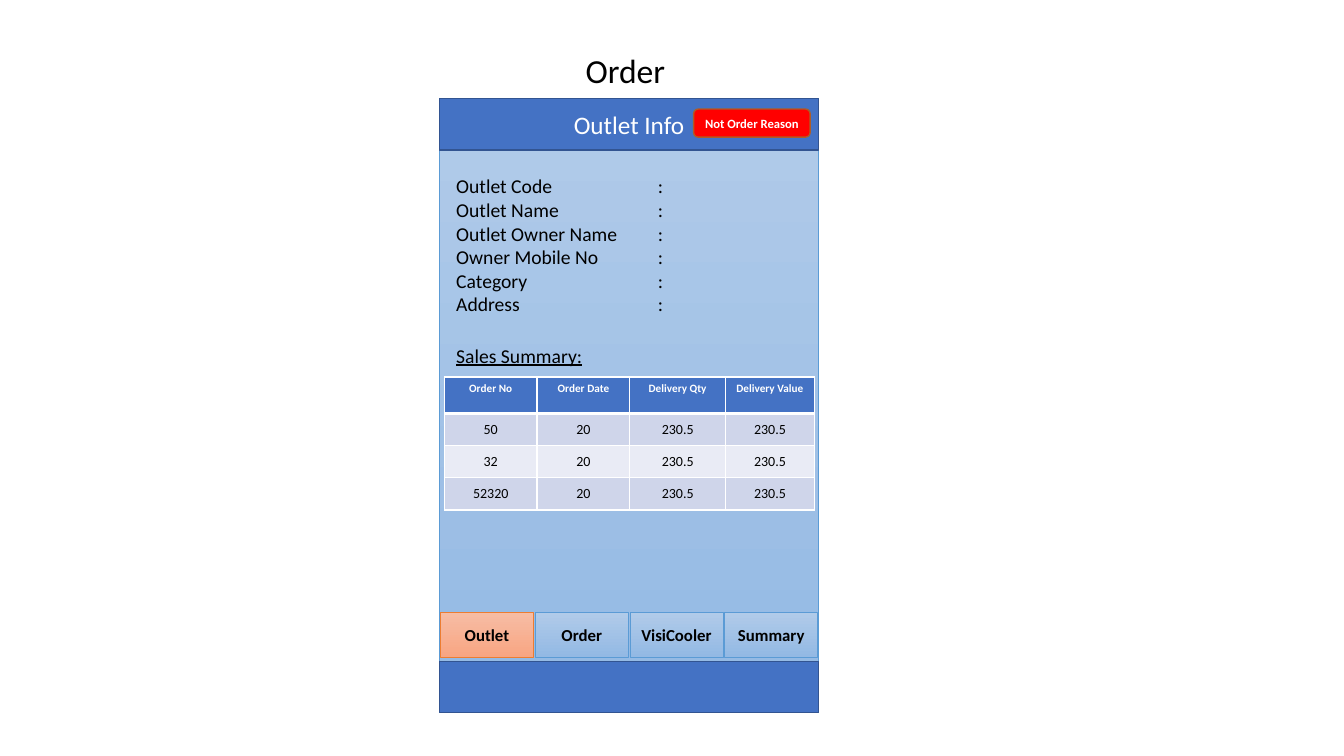
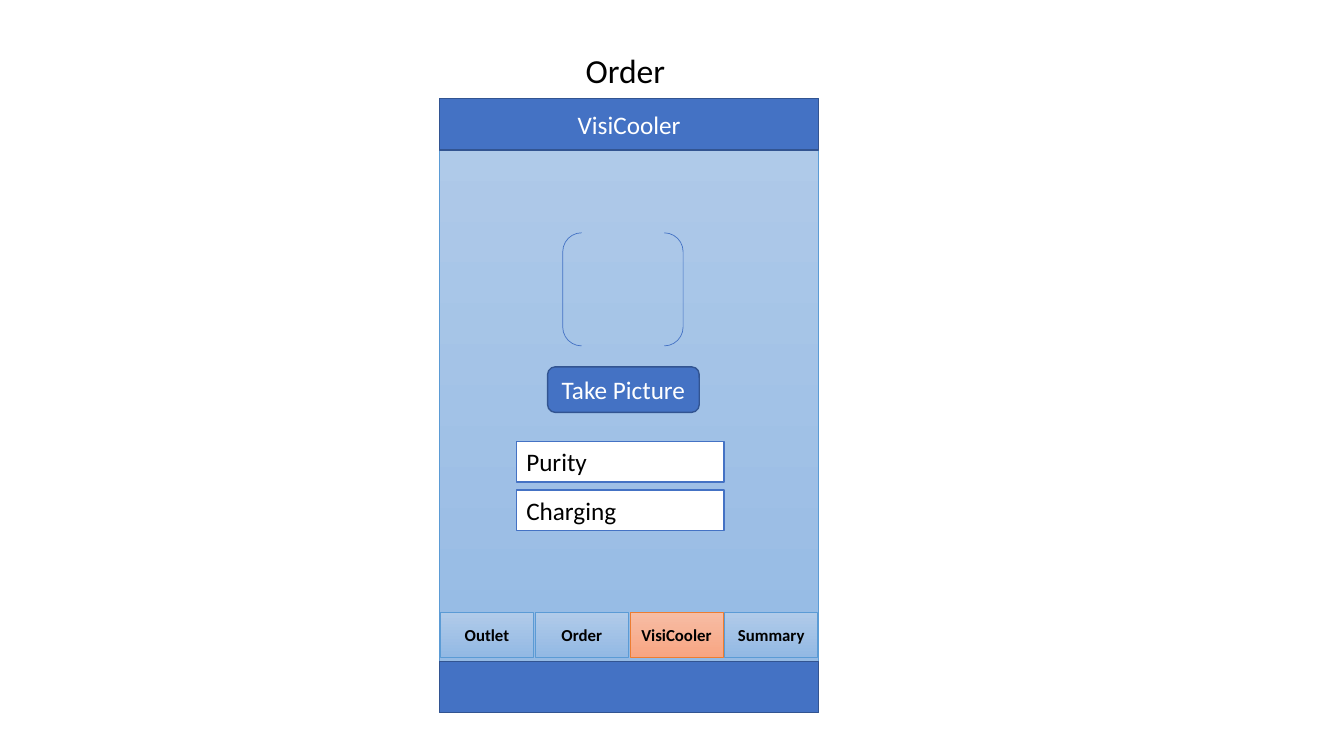
from lxml import etree
from pptx import Presentation
from pptx.dml.color import RGBColor
from pptx.enum.shapes import MSO_SHAPE
from pptx.enum.text import MSO_ANCHOR, MSO_AUTO_SIZE, PP_ALIGN
from pptx.oxml.ns import qn
from pptx.util import Emu, Inches, Pt

RECTANGLE = MSO_SHAPE.RECTANGLE
ROUNDED = MSO_SHAPE.ROUNDED_RECTANGLE
BRACKETS = MSO_SHAPE.DOUBLE_BRACKET
LEFT, CENTER = PP_ALIGN.LEFT, PP_ALIGN.CENTER
TOP, MIDDLE = MSO_ANCHOR.TOP, MSO_ANCHOR.MIDDLE
FIT_SHAPE = MSO_AUTO_SIZE.SHAPE_TO_FIT_TEXT

FONT = "Calibri"
COLORS = {
    "black": "000000", "white": "FFFFFF", "red": "FF0000", "rust": "AF5C24",
    "blue": "4472C4", "navy": "325491",
    "sky_top": "B1CBE9", "sky_bottom": "93B9E4", "sky_line": "5B9BD5",
    "peach_top": "F7BDA5", "peach_bottom": "F8A582", "orange": "ED7D31",
    "row_odd": "CFD5EA", "row_even": "E9EBF5",
}
SKY = ("sky_top", "sky_bottom")
PEACH = ("peach_top", "peach_bottom")

# The phone frame is a grid of 4 columns and 12 rows
PHONE_LEFT, PHONE_TOP = Inches(4.36), Inches(0.98)
COLUMNS, ROWS = 4, 12
COLUMN, ROW = Inches(3.76) / COLUMNS, Inches(6.09) / ROWS

TABS = ["Outlet", "Order", "VisiCooler", "Summary"]
OUTLET_FIELDS = ["Outlet Code", "Outlet Name", "Outlet Owner Name",
                 "Owner Mobile No", "Category", "Address"]
SALES = [
    ["Order No", "Order Date", "Delivery Qty", "Delivery Value"],
    ["50", "20", "230.5", "230.5"],
    ["32", "20", "230.5", "230.5"],
    ["52320", "20", "230.5", "230.5"],
]
SALES_WIDTHS = [0.92, 0.92, 0.95, 0.88]
SALES_HEIGHTS = [0.36, 0.32, 0.32, 0.32]


def color(name):
    return RGBColor.from_string(COLORS[name])


def place(column, row, columns, rows):
    """Turn a grid area of the phone into left, top, width and height."""
    return (Emu(int(PHONE_LEFT + column * COLUMN)), Emu(int(PHONE_TOP + row * ROW)),
            Emu(int(columns * COLUMN)), Emu(int(rows * ROW)))


# Text
def write(frame, text, size=18, ink="black", bold=False, underline=False,
          align=CENTER, tab=None):
    for index, line in enumerate(text.split("\n")):
        paragraph = frame.paragraphs[0] if index == 0 else frame.add_paragraph()
        paragraph.alignment = align
        if tab:
            tabs = etree.SubElement(paragraph._p.get_or_add_pPr(), qn("a:tabLst"))
            etree.SubElement(tabs, qn("a:tab"), pos=str(tab), algn="l")
        run = paragraph.add_run()
        run.text = line
        run.font.name = FONT
        run.font.size = Pt(size)
        run.font.bold = bold
        run.font.underline = underline
        run.font.color.rgb = color(ink)


def add_text(slide, area, text, wrap=False, **style):
    frame = slide.shapes.add_textbox(*place(*area)).text_frame
    frame.word_wrap = wrap
    frame.auto_size = FIT_SHAPE
    write(frame, text, **style)


# Shapes
def add_box(shapes, area, fill=None, line="navy", weight=1, kind=RECTANGLE,
            text="", anchor=MIDDLE, **style):
    shape = shapes.add_shape(kind, *place(*area))
    shape.shadow.inherit = False
    if fill is None:
        shape.fill.background()
    elif isinstance(fill, tuple):
        shape.fill.gradient()
        shape.fill.gradient_angle = 270
        for stop, name in zip(shape.fill.gradient_stops, fill):
            stop.color.rgb = color(name)
    else:
        shape.fill.solid()
        shape.fill.fore_color.rgb = color(fill)
    shape.line.color.rgb = color(line)
    shape.line.width = Pt(weight)
    if text:
        shape.text_frame.word_wrap = True
        shape.text_frame.vertical_anchor = anchor
        write(shape.text_frame, text, **style)


# Table
def set_borders(cell, top=1, bottom=1):
    properties = cell._tc.get_or_add_tcPr()
    for side, weight in (("L", 1), ("R", 1), ("T", top), ("B", bottom)):
        border = etree.SubElement(properties, qn(f"a:ln{side}"), w=str(Pt(weight)))
        fill = etree.SubElement(border, qn("a:solidFill"))
        etree.SubElement(fill, qn("a:srgbClr"), val=COLORS["white"])


def add_sales_table(slide, area):
    table = slide.shapes.add_table(len(SALES), len(SALES[0]), *place(*area)).table
    for column, width in zip(table.columns, SALES_WIDTHS):
        column.width = Inches(width)
    for row, height in zip(table.rows, SALES_HEIGHTS):
        row.height = Inches(height)
    for row_index, values in enumerate(SALES):
        header = row_index == 0
        band = "blue" if header else "row_odd" if row_index % 2 else "row_even"
        for column_index, value in enumerate(values):
            cell = table.cell(row_index, column_index)
            set_borders(cell, top=3 if row_index == 1 else 1, bottom=3 if header else 1)
            cell.fill.solid()
            cell.fill.fore_color.rgb = color(band)
            cell.vertical_anchor = TOP if header else MIDDLE
            write(cell.text_frame, value, size=8 if header else 10,
                  ink="white" if header else "black", bold=header)


# Parts shared by both screens
def add_screen(presentation, heading, active_tab):
    slide = presentation.slides.add_slide(presentation.slide_layouts[6])
    add_text(slide, (1.43, -1.06, 1.06, 0.99), "Order", size=24)
    phone = slide.shapes.add_group_shape().shapes
    add_box(phone, (0, 0, COLUMNS, ROWS), SKY, "sky_line", 0.5)
    add_box(phone, (0, 0, COLUMNS, 1), "blue", text=heading, ink="white")
    add_box(phone, (0, ROWS - 1, COLUMNS, 1), "blue")
    tab_bar = slide.shapes.add_group_shape().shapes
    for index, label in enumerate(TABS):
        active = label == active_tab
        add_box(tab_bar, (index + 0.01, 10.03, 0.98, 0.89), PEACH if active else SKY,
                "orange" if active else "sky_line", 0.5, text=label, size=12, bold=True)
    return slide


def build_outlet(presentation):
    slide = add_screen(presentation, "Outlet Info", "Outlet")
    fields = "\n".join(f"{field}\t:" for field in OUTLET_FIELDS)
    add_text(slide, (0.07, 1.38, 3.77, 2.98), fields, wrap=True, size=14,
             align=LEFT, tab=Inches(2))
    add_sales_table(slide, (0.05, 5.44, 3.9, 2.58))
    add_text(slide, (0.07, 4.69, 1.55, 0.67), "Sales Summary:", size=14,
             underline=True, align=LEFT)
    add_box(slide.shapes, (2.68, 0.2, 1.23, 0.55), "red", "rust", kind=ROUNDED,
            text="Not Order Reason", size=9, ink="white", bold=True)


def build_cooler(presentation):
    slide = add_screen(presentation, "VisiCooler", "VisiCooler")
    add_box(slide.shapes, (1.3, 2.62, 1.27, 2.21), None, "blue", 0.5, BRACKETS)
    add_box(slide.shapes, (1.14, 5.24, 1.6, 0.89), "blue", kind=ROUNDED,
            text="Take Picture", ink="white")
    for index, label in enumerate(["Purity", "Charging"]):
        add_box(slide.shapes, (0.81, 6.7 + 0.95 * index, 2.19, 0.79), "white", "blue",
                text=label, anchor=TOP, align=LEFT)


def main():
    presentation = Presentation()
    presentation.slide_width = Inches(13.33)
    presentation.slide_height = Inches(7.5)
    build_outlet(presentation)
    build_cooler(presentation)
    presentation.save("out.pptx")


if __name__ == "__main__":
    main()
